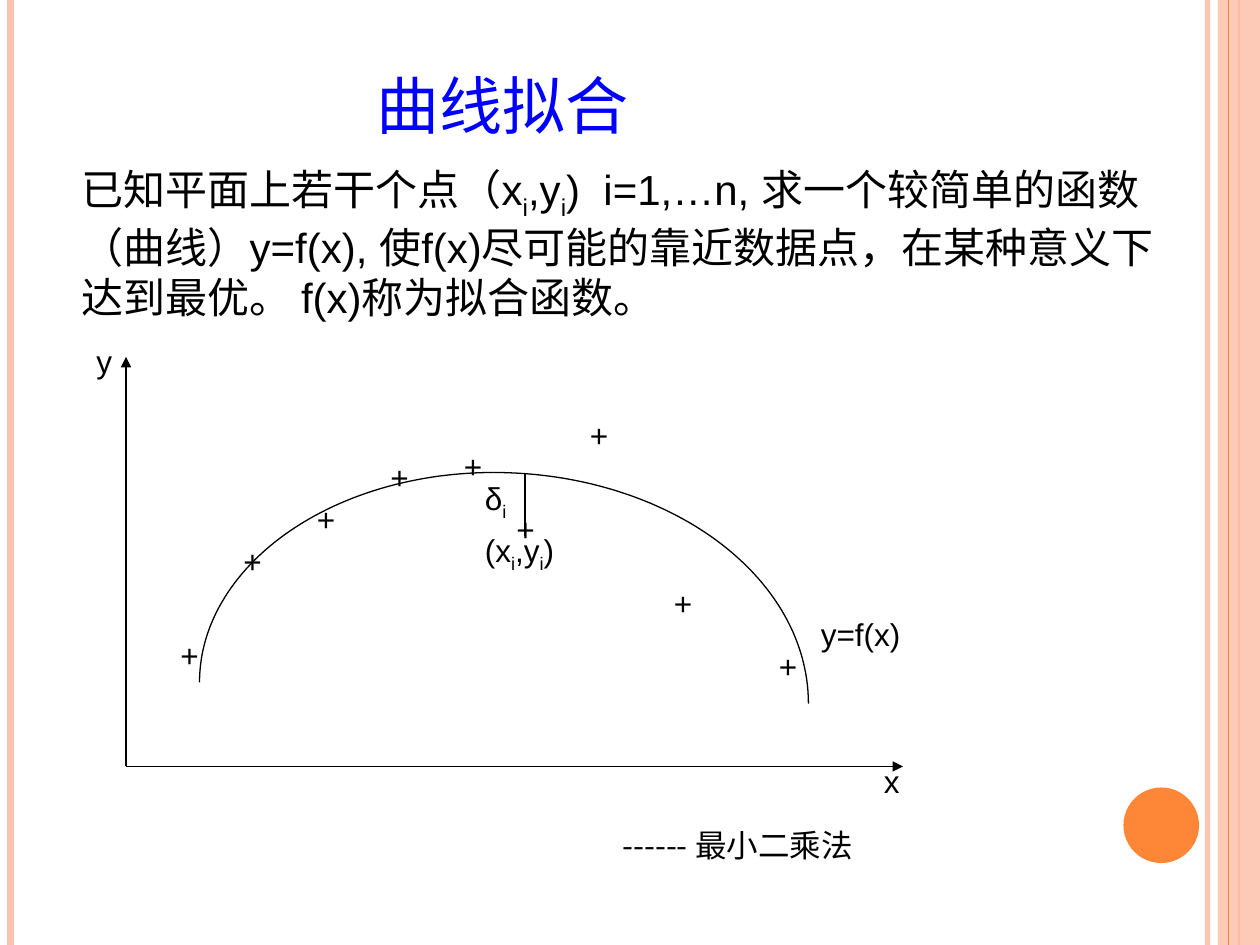
import math

import pptx
import pptx.dml.color
import pptx.enum.shapes
import pptx.enum.text
import pptx.oxml
import pptx.oxml.ns
import pptx.util

SCALE = 7620
ARIAL, CJK = "Arial", "Noto Sans CJK SC"
BLACK, BLUE, ORANGE, PEACH = "000000", "0000FF", "FE8637", "FEC3AE"
TITLE = {"size": 36, "color": BLUE, "before": 0, "anchor": "BOTTOM", "fit": "NONE"}
BODY = {"size": 24, "color": BLACK, "before": 15, "anchor": "TOP", "fit": "SHAPE_TO_FIT_TEXT"}
LABEL = {**BODY, "size": 18, "before": 11.2}

PROBLEM = [
    ("已知平面上若干个点", CJK),
    ("（x_i_,y_i_)  i=1,…n, ", ARIAL),
    ("求一个较简单的函数（曲线）", CJK),
    ("y=f(x), ", ARIAL),
    ("使", CJK),
    ("f(x)尽可能的", ARIAL),
    ("靠近数据点，在某种意义下达到最优。 ", CJK),
    ("f(x)称为拟合函数。", ARIAL),
]
POINTS = [(160, 600), (290, 470), (220, 510), (360, 430), (430, 420),
          (480, 480), (550, 390), (630, 550), (730, 610)]


def px(n):
    """Turn px into EMU."""
    return pptx.util.Emu(round(n * SCALE))


def rgb(code):
    """Turn a hex string into a colour."""
    return pptx.dml.color.RGBColor.from_string(code)


def add_child(parent, tag, **attrs):
    """Append an XML child with attributes."""
    child = pptx.oxml.parse_xml(f"<{tag} {pptx.oxml.ns.nsdecls('a')}/>")
    for name, value in attrs.items():
        child.set(name, value)
    parent.append(child)


def set_alpha(sp, percent):
    """Make the first colour of a shape partly transparent."""
    color = sp.element.find(f".//{pptx.oxml.ns.qn('a:srgbClr')}")
    add_child(color, "a:alpha", val=str(percent * 1000))


def set_line(sp, color, width):
    """Give a shape or connector a plain line."""
    sp.line.color.rgb = rgb(color)
    sp.line.width = pptx.util.Pt(width)


def add_line(s, x1, y1, x2, y2, color=BLACK, width=0.75, arrow=False):
    """Draw a straight line, with an arrowhead at its end if asked."""
    c = s.shapes.add_connector(pptx.enum.shapes.MSO_CONNECTOR.STRAIGHT,
                               px(x1), px(y1), px(x2), px(y2))
    set_line(c, color, width)
    if arrow:
        add_child(c.element.find(f".//{pptx.oxml.ns.qn('a:ln')}"), "a:tailEnd", type="triangle")
    add_child(c.element.spPr, "a:effectLst")
    return c


def add_fill(s, kind, x, y, w, h, color):
    """Draw a filled preset shape without outline."""
    sp = s.shapes.add_shape(kind, px(x), px(y), px(w), px(h))
    sp.shadow.inherit = False
    sp.fill.solid()
    sp.fill.fore_color.rgb = rgb(color)
    sp.line.fill.background()
    return sp


def add_arc(s, cx, cy, rx, ry, steps=60):
    """Draw a quarter ellipse from its top; a negative rx goes left."""
    angles = [math.pi / 2 * i / steps for i in range(steps + 1)]
    dots = [(px(cx + rx * math.sin(a)), px(cy - ry * math.cos(a))) for a in angles]
    builder = s.shapes.build_freeform(*dots[0])
    builder.add_line_segments(dots[1:], close=False)
    sp = builder.convert_to_shape()
    sp.shadow.inherit = False
    sp.fill.background()
    set_line(sp, BLACK, 0.75)


def add_run(p, text, font, style, sub):
    """Add a run, lowered when it is a subscript."""
    r = p.add_run()
    r.text = text
    values = {"name": font, "size": pptx.util.Pt(style["size"])}
    for name, value in values.items():
        setattr(r.font, name, value)
    r.font.color.rgb = rgb(style["color"])
    props = r.font._element
    add_child(props, "a:ea", typeface=CJK)
    if sub:
        props.set("baseline", "-25000")


def add_text(s, x, y, w, h, runs, style=LABEL):
    """Add a text box; parts between underscores are subscripts."""
    tf = s.shapes.add_textbox(px(x), px(y), px(w), px(h)).text_frame
    values = {
        "word_wrap": True,
        "auto_size": pptx.enum.text.MSO_AUTO_SIZE[style["fit"]],
        "vertical_anchor": pptx.enum.text.MSO_ANCHOR[style["anchor"]],
    }
    for name, value in values.items():
        setattr(tf, name, value)
    p = tf.paragraphs[0]
    p.space_before = pptx.util.Pt(style["before"])
    for text, font in runs:
        for i, part in enumerate(text.split("_")):
            if part:
                add_run(p, part, font, style, sub=i % 2 == 1)


def add_frame(s):
    """Draw the stripes at the edges and the disc."""
    shapes = pptx.enum.shapes.MSO_SHAPE
    set_alpha(add_line(s, 1150, 0, 1150, 900, PEACH, 3), 93)
    add_line(s, 10, 0, 10, 900, PEACH, 4.5)
    add_line(s, 1180, 0, 1180, 900, ORANGE, 1.5)
    set_alpha(add_fill(s, shapes.RECTANGLE, 1160, 0, 40, 900, PEACH), 87)
    add_line(s, 1170, 0, 1170, 900, ORANGE)
    add_fill(s, shapes.OVAL, 1070, 750, 72, 72, ORANGE)


def add_plot(s):
    """Draw the data points, axes, fitted curve and labels."""
    for x, y in POINTS:
        add_text(s, x, y, 70, 48, [("+", ARIAL)])
    for x, y in [(860, 730), (120, 340)]:
        add_line(s, 120, 730, x, y, arrow=True)
    add_arc(s, 470, 650, -280, 200)
    add_arc(s, 470, 670, 300, 220)
    add_line(s, 500, 510, 500, 450)
    for x, y, w, h, text in [
        (830, 720, 80, 48, "x"),
        (80, 320, 60, 48, "y"),
        (770, 580, 190, 48, "y=f(x)"),
        (450, 500, 120, 53, "(x_i_,y_i_)"),
        (450, 450, 70, 53, "δ_i_"),
    ]:
        add_text(s, x, y, w, h, [(text, ARIAL)])


def main():
    """Build the slide and save it."""
    prs = pptx.Presentation()
    prs.slide_width, prs.slide_height = px(1200), px(900)
    s = prs.slides.add_slide(prs.slide_layouts[6])
    add_frame(s)
    add_text(s, 66, 150, 1060, 163, PROBLEM, BODY)
    add_plot(s)
    add_text(s, 581, 781, 536, 48, [("------ 最小二乘法", CJK)])
    add_text(s, 347, 47, 356, 94, [("曲线拟合", CJK)], TITLE)
    prs.save("out.pptx")


if __name__ == "__main__":
    main()
